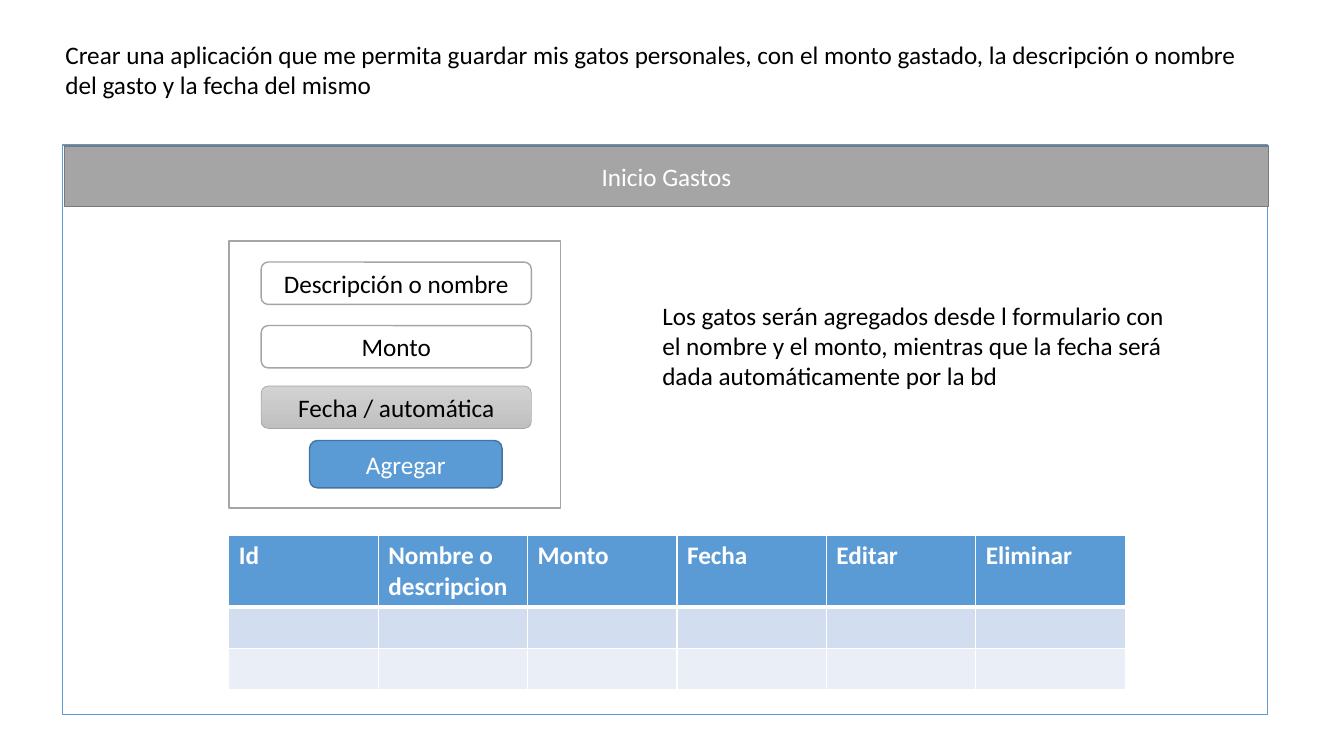
import pptx
import pptx.util
import pptx.dml.color
import pptx.enum.shapes
import pptx.enum.text
import pptx.oxml
import pptx.oxml.ns
from pptx.util import Inches

RGBColor = pptx.dml.color.RGBColor
WHITE = RGBColor(0xFF, 0xFF, 0xFF)
BLACK = RGBColor(0x00, 0x00, 0x00)
BLUE = RGBColor(0x5B, 0x9B, 0xD5)
DARK_BLUE = RGBColor(0x43, 0x73, 0x9E)
GRAY = RGBColor(0xA5, 0xA5, 0xA5)
DARK_GRAY = RGBColor(0x7A, 0x7A, 0x7A)
LIGHT_GRAY = RGBColor(0xD2, 0xD2, 0xD2)
SILVER = RGBColor(0xC0, 0xC0, 0xC0)
BAND_1 = RGBColor(0xD2, 0xDE, 0xEF)
BAND_2 = RGBColor(0xEA, 0xEF, 0xF7)
RECT = pptx.enum.shapes.MSO_SHAPE.RECTANGLE
ROUND = pptx.enum.shapes.MSO_SHAPE.ROUNDED_RECTANGLE


def add_text(tf, text, color, bold=False):
    tf.word_wrap = True
    r = tf.paragraphs[0].add_run()
    r.text = text
    r.font.name = "Calibri"
    r.font.size = pptx.util.Pt(18)
    r.font.bold = bold
    r.font.color.rgb = color


def add_box(kind, left, top, width, height, fill, line, text="", color=BLACK):
    sp = s.shapes.add_shape(kind, Inches(left), Inches(top), Inches(width), Inches(height))
    sp.shadow.inherit = False
    sp.fill.solid()
    sp.fill.fore_color.rgb = fill
    sp.line.color.rgb = line
    sp.line.width = pptx.util.Pt(1)
    if text:
        add_text(sp.text_frame, text, color)
        sp.text_frame.vertical_anchor = pptx.enum.text.MSO_ANCHOR.MIDDLE
        sp.text_frame.paragraphs[0].alignment = pptx.enum.text.PP_ALIGN.CENTER
    return sp


prs = pptx.Presentation()
prs.slide_width = Inches(13.33)
prs.slide_height = Inches(7.5)
s = prs.slides.add_slide(prs.slide_layouts[6])

# App window
add_box(RECT, 0.62, 1.44, 11.95, 5.65, WHITE, BLUE)
add_box(RECT, 0.64, 1.45, 11.94, 0.6, GRAY, DARK_GRAY, "Inicio Gastos", WHITE)

# Expense table
headers = ["Id", "Nombre o descripcion", "Monto", "Fecha", "Editar", "Eliminar"]
row_fills = [BLUE, BAND_1, BAND_2]
table = s.shapes.add_table(len(row_fills), len(headers), Inches(2.27), Inches(5.31),
                           Inches(8.89), Inches(1.51)).table
for row, height in zip(table.rows, [0.7, 0.41, 0.41]):
    row.height = Inches(height)
for i, fill in enumerate(row_fills):
    for j, header in enumerate(headers):
        cell = table.cell(i, j)
        tcPr = cell._tc.get_or_add_tcPr()
        for side in "LRTB":
            thick = (i, side) in [(0, "B"), (1, "T")]
            tcPr.append(pptx.oxml.parse_xml(
                f'<a:ln{side} {pptx.oxml.ns.nsdecls("a")} w="{pptx.util.Pt(3 if thick else 1)}">'
                f'<a:solidFill><a:srgbClr val="{WHITE}"/></a:solidFill></a:ln{side}>'))
        cell.fill.solid()
        cell.fill.fore_color.rgb = fill
        if i == 0:
            add_text(cell.text_frame, header, WHITE, bold=True)

# Entry form
add_box(RECT, 2.27, 2.39, 3.29, 2.65, WHITE, GRAY)
for top, label in [(2.6, "Descripción o nombre"), (3.23, "Monto"), (3.83, "Fecha / automática")]:
    field = add_box(ROUND, 2.59, top, 2.68, 0.42, WHITE, GRAY, label)
# The last field, the date, is greyed out
field.fill.gradient()
field.fill.gradient_angle = 270
for stop, color, position in zip(field.fill.gradient_stops, [LIGHT_GRAY, SILVER], [0, 1]):
    stop.color.rgb = color
    stop.position = position
field.line.width = pptx.util.Pt(0.5)
add_box(ROUND, 3.07, 4.37, 1.91, 0.47, BLUE, DARK_BLUE, "Agregar", WHITE)

# Explanations
for left, top, width, height, text in [
    (0.55, 0.34, 12.15, 0.71,
     "Crear una aplicación que me permita guardar mis gatos personales, con el monto gastado, "
     "la descripción o nombre del gasto y la fecha del mismo"),
    (6.47, 2.93, 5.18, 1.01,
     "Los gatos serán agregados desde l formulario con el nombre y el monto, "
     "mientras que la fecha será dada automáticamente por la bd"),
]:
    tb = s.shapes.add_textbox(Inches(left), Inches(top), Inches(width), Inches(height))
    add_text(tb.text_frame, text, BLACK)
    tb.text_frame.auto_size = pptx.enum.text.MSO_AUTO_SIZE.SHAPE_TO_FIT_TEXT

prs.save("out.pptx")
